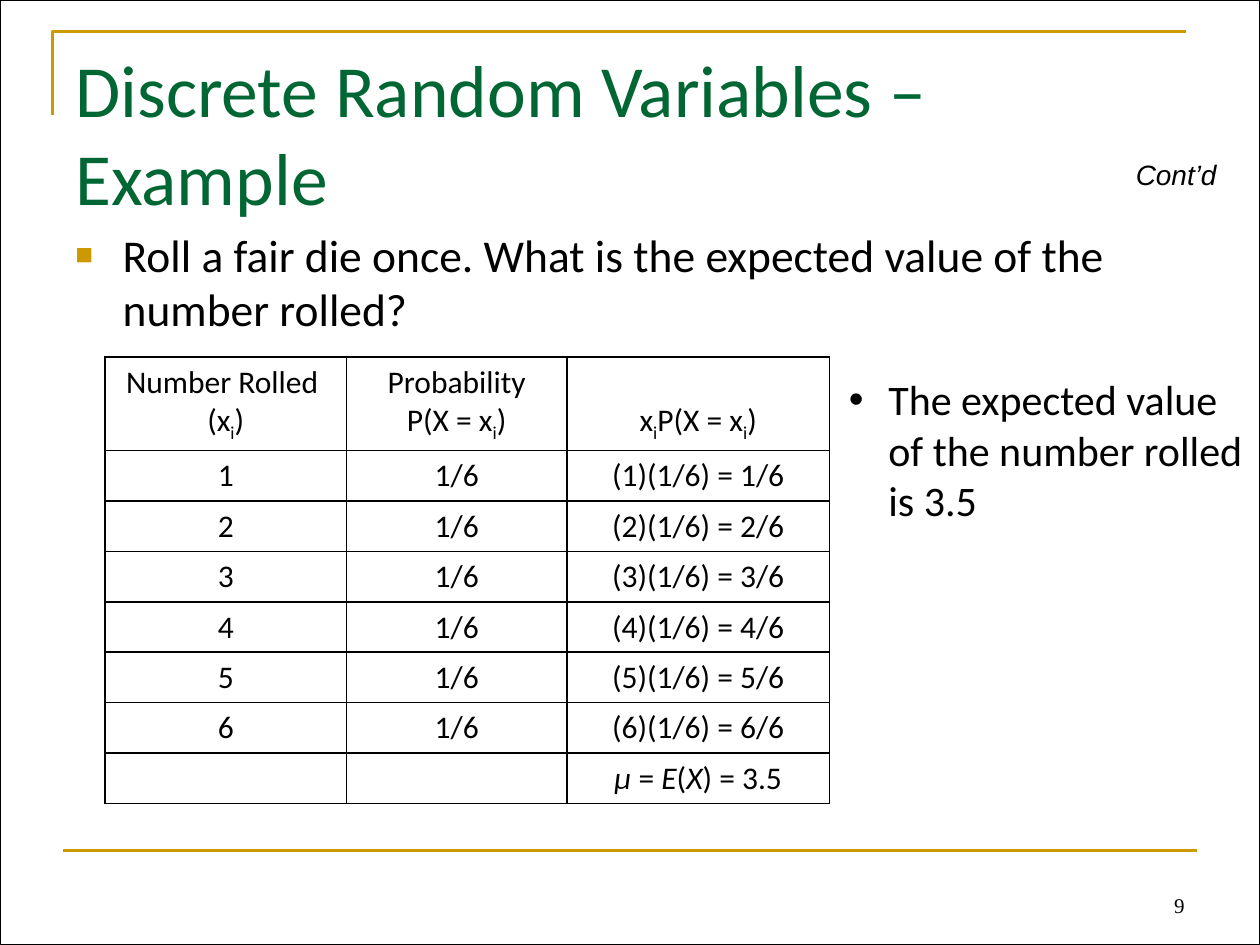
from lxml import etree
from pptx import Presentation
from pptx.dml.color import RGBColor
from pptx.enum.shapes import MSO_CONNECTOR, MSO_SHAPE
from pptx.enum.text import MSO_ANCHOR, PP_ALIGN
from pptx.oxml.ns import qn
from pptx.util import Pt

LEFT, CENTER, RIGHT = PP_ALIGN.LEFT, PP_ALIGN.CENTER, PP_ALIGN.RIGHT
TOP, BOTTOM = MSO_ANCHOR.TOP, MSO_ANCHOR.BOTTOM
COLORS = {"gold": "CC9900", "green": "006633", "black": "000000"}


def color(name):
    return RGBColor.from_string(COLORS[name])


def add_runs(paragraph, runs, font_format):
    """Add (text, style) runs; style is "", "italic" or "subscript"."""
    for text, style in runs:
        run = paragraph.add_run()
        run.text = text
        for name, value in font_format.items():
            setattr(run.font, name, value)
        run.font.color.rgb = color("black")
        if style == "italic":
            run.font.italic = True
        elif style == "subscript":
            run.font._element.set("baseline", "-25000")


presentation = Presentation()
presentation.slide_width, presentation.slide_height = Pt(720), Pt(540)
slide = presentation.slides.add_slide(presentation.slide_layouts[6])
shapes = slide.shapes

# Gold corner line, footer rule and slide frame
builder = shapes.build_freeform(Pt(30), Pt(66), scale=1.0)
builder.add_line_segments([(Pt(30), Pt(18)), (Pt(678), Pt(18))], close=False)
corner = builder.convert_to_shape()
rule = shapes.add_connector(MSO_CONNECTOR.STRAIGHT, Pt(36), Pt(486), Pt(684), Pt(486))
etree.SubElement(rule._element.spPr, qn("a:effectLst"))
frame = shapes.add_shape(MSO_SHAPE.RECTANGLE, 0, 0, Pt(720), Pt(540))
for shape, line_color, width in [(corner, "gold", 1.5), (rule, "gold", 1.5), (frame, "black", 0.5)]:
    shape.line.color.rgb = color(line_color)
    shape.line.width = Pt(width)
for shape in (corner, frame):
    shape.fill.background()
    shape.shadow.inherit = False

# Text: wording, box, font, size, style, color, alignment, anchor, bullet
# A bullet is (character, indent, color, size in percent)
texts = [
    ("Discrete Random Variables – Example", (36, 21.6, 648, 90),
     "Calibri", 42, "", "green", LEFT, TOP, None),
    ("Roll a fair die once. What is the expected value of the number rolled?",
     (36, 126, 648, 356.4), "Calibri", 26, "", "black", LEFT, TOP, ("■", 27, "gold", 65)),
    ("9", (516, 492, 168, 36), "Times New Roman", 12, "", "black", RIGHT, BOTTOM, None),
    ("Cont’d", (642, 86.4, 72, 26.6), "Arial", 16, "italic", "black", LEFT, TOP, None),
    ("The expected value of the number rolled is 3.5", (478, 210, 242, 94.5),
     "Calibri", 24, "", "black", LEFT, TOP, ("•", 22.5, "black", 100)),
]
for text, box, font, size, style, text_color, alignment, anchor, bullet in texts:
    text_box = shapes.add_textbox(*[Pt(value) for value in box])
    frame_text = text_box.text_frame
    frame_text.word_wrap = True
    frame_text.vertical_anchor = anchor
    if size == 42:
        frame_text.margin_right = Pt(14)  # keeps the title on two lines
    paragraph = frame_text.paragraphs[0]
    paragraph.alignment = alignment
    if bullet:
        character, indent, bullet_color, percent = bullet
        properties = paragraph._p.get_or_add_pPr()
        properties.set("marL", str(Pt(indent)))
        properties.set("indent", str(-Pt(indent)))
        holder = etree.SubElement(properties, qn("a:buClr"))
        etree.SubElement(holder, qn("a:srgbClr"), val=COLORS[bullet_color])
        etree.SubElement(properties, qn("a:buSzPct"), val=str(percent * 1000))
        etree.SubElement(properties, qn("a:buFont"), typeface="Arial")
        etree.SubElement(properties, qn("a:buChar"), char=character)
    add_runs(paragraph, [(text, style)], {"name": font, "size": Pt(size)})
    paragraph.runs[0].font.color.rgb = color(text_color)

# Table content: each cell is a list of paragraphs, each a list of runs
sub_i = ("i", "subscript")
probability = [("P(X = x", ""), sub_i, (")", "")]
rows = [[
    [[("Number Rolled ", "")], [("(x", ""), sub_i, (")", "")]],
    [[("Probability", "")], probability],
    [[("x", ""), sub_i] + probability],
]]
for number in range(1, 7):
    words = (str(number), "1/6", f"({number})(1/6) = {number}/6")
    rows.append([[[(word, "")]] for word in words])
rows.append([[], [], [[("μ", "italic"), (" = ", ""), ("E", "italic"), ("(", ""),
                       ("X", "italic"), (") = 3.5", "")]]])

# Table of the expected value
column_widths = [138, 126, 150]
row_heights = [49] + [28] * 7
table = shapes.add_table(len(rows), 3, Pt(60), Pt(204),
                         Pt(sum(column_widths)), Pt(sum(row_heights))).table
table.first_row = table.horz_banding = False
for column, width in zip(table.columns, column_widths):
    column.width = Pt(width)
for row, height, contents in zip(table.rows, row_heights, rows):
    row.height = Pt(height)
    for cell, paragraphs in zip(row.cells, contents):
        cell.fill.background()
        cell.vertical_anchor = BOTTOM if height == 49 else TOP
        for index, runs in enumerate(paragraphs):
            text_frame = cell.text_frame
            paragraph = text_frame.add_paragraph() if index else text_frame.paragraphs[0]
            paragraph.alignment = CENTER
            add_runs(paragraph, runs, {"name": "Calibri", "size": Pt(18)})
        cell_properties = cell._tc.get_or_add_tcPr()
        for position, side in enumerate(("lnL", "lnR", "lnT", "lnB")):
            border = etree.Element(qn(f"a:{side}"), w=str(Pt(1)))
            fill = etree.SubElement(border, qn("a:solidFill"))
            etree.SubElement(fill, qn("a:srgbClr"), val=COLORS["black"])
            cell_properties.insert(position, border)

presentation.save("out.pptx")
